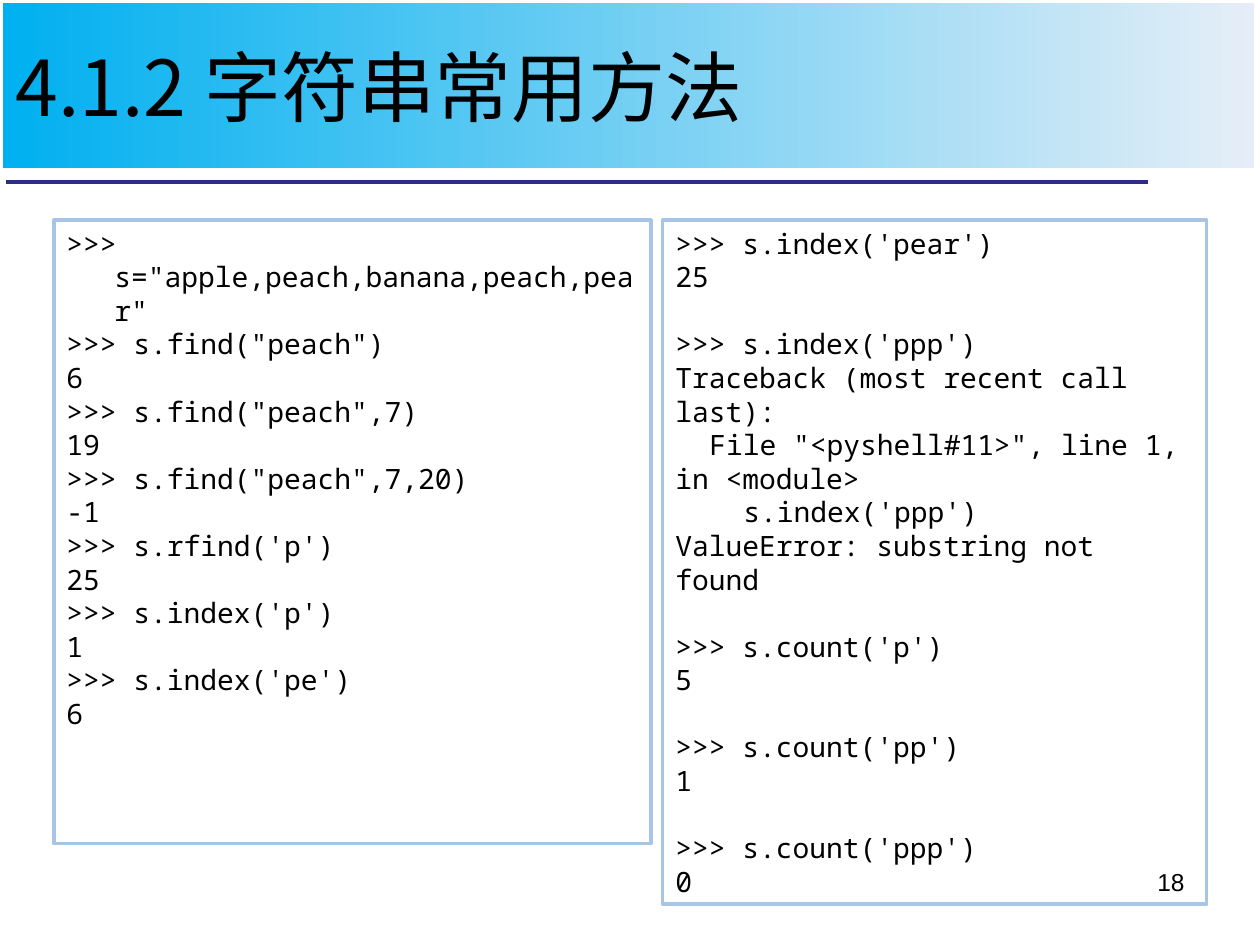
"""Build a slide on common string methods with two interpreter sessions."""
from lxml.etree import SubElement
from pptx import Presentation
from pptx.dml.color import RGBColor
from pptx.enum.shapes import MSO_CONNECTOR, MSO_SHAPE
from pptx.enum.text import MSO_ANCHOR as ANCHOR, MSO_AUTO_SIZE as AUTO, PP_ALIGN as ALIGN
from pptx.oxml.ns import qn
from pptx.util import Emu, Pt

BLACK = RGBColor(0x00, 0x00, 0x00)
SKY = RGBColor(0x00, 0xB0, 0xF0)
PALE = RGBColor(0xE5, 0xEE, 0xF7)
NAVY = RGBColor(0x2D, 0x2D, 0x89)
BORDER = RGBColor(0xA7, 0xC6, 0xE5)
TITLE_FONT, CODE_FONT, NUMBER_FONT = "Noto Sans CJK SC", "Noto Sans Mono", "Arial"
LEADING = Pt(19.2)
CHAR = 17

FIND_SESSION = [[
    '>>> s="apple,peach,banana,peach,pear"',
    '>>> s.find("peach")', "6",
    '>>> s.find("peach",7)', "19",
    '>>> s.find("peach",7,20)', "-1",
    ">>> s.rfind('p')", "25",
    ">>> s.index('p')", "1",
    ">>> s.index('pe')", "6",
]]
COUNT_SESSION = [
    [">>> s.index('pear')", "25"],
    [">>> s.index('ppp')", "Traceback (most recent call last):",
     (2, 'File "<pyshell#11>", line 1, in <module>'),
     (4, "s.index('ppp')"), "ValueError: substring not found"],
    [">>> s.count('p')", "5"],
    [">>> s.count('pp')", "1"],
    [">>> s.count('ppp')", "0"],
]


def px(n):
    return Emu(round(n * 914400 / 126))


def place(sp, x, y, w, h):
    sp.left, sp.top, sp.width, sp.height = px(x), px(y), px(w), px(h)


def add_run(p, text, font, size):
    r = p.add_run()
    r.text = text
    r.font.name, r.font.size, r.font.color.rgb = font, Pt(size), BLACK
    SubElement(r.font._element, qn("a:ea")).set("typeface", font)


def set_title(slide, text):
    sp = slide.shapes.title
    place(sp, 3, 3, 1251, 165)
    sp.fill.gradient()
    sp.fill.gradient_angle = 180
    for stop, color in zip(sp.fill.gradient_stops, (PALE, SKY)):
        stop.color.rgb = color
    tf = sp.text_frame
    tf.auto_size, tf.vertical_anchor = AUTO.NONE, ANCHOR.MIDDLE
    p = tf.paragraphs[0]
    p.alignment = ALIGN.LEFT
    add_run(p, text, TITLE_FONT, 44)


def add_rule(slide, x1, x2, y):
    line = slide.shapes.add_connector(MSO_CONNECTOR.STRAIGHT, px(x1), px(y), px(x2), px(y))
    line.line.color.rgb, line.line.width = NAVY, Pt(2.25)
    SubElement(line._element.spPr, qn("a:effectLst"))


def add_code_box(slide, x, y, w, h, blocks, hanging=0):
    sp = slide.shapes.add_shape(MSO_SHAPE.RECTANGLE, px(x), px(y), px(w), px(h))
    sp.shadow.inherit = False
    sp.fill.background()
    sp.line.color.rgb, sp.line.width = BORDER, Pt(1.75)
    tf = sp.text_frame
    tf.word_wrap, tf.vertical_anchor = True, ANCHOR.TOP
    p = tf.paragraphs[0]
    for b, block in enumerate(blocks):
        for i, line in enumerate(block):
            if b or i:
                p = tf.add_paragraph()
            indent, text = line if isinstance(line, tuple) else (0, line)
            p.alignment, p.line_spacing = ALIGN.LEFT, LEADING
            p.space_before = LEADING if b and not i else Pt(0)
            pPr = p._p.get_or_add_pPr()
            pPr.set("marL", str(px(hanging)))
            pPr.set("indent", str(px(indent * CHAR - hanging)))
            add_run(p, text, CODE_FONT, 16)


def add_page_number(slide, x, y, w, h, text):
    tf = slide.shapes.add_textbox(px(x), px(y), px(w), px(h)).text_frame
    tf.word_wrap = True
    p = tf.paragraphs[0]
    p.alignment = ALIGN.RIGHT
    add_run(p, text, NUMBER_FONT, 14)


def main():
    prs = Presentation()
    prs.slide_width, prs.slide_height = px(1260), px(945)
    slide = prs.slides.add_slide(prs.slide_layouts[5])
    set_title(slide, "4.1.2 字符串常用方法")
    add_rule(slide, 6, 1148, 182)
    add_code_box(slide, 54, 220, 597, 624, FIND_SESSION, hanging=48)
    add_code_box(slide, 663, 220, 544, 684, COUNT_SESSION)
    add_page_number(slide, 903, 861, 294, 66, "18")
    prs.save("out.pptx")


if __name__ == "__main__":
    main()
